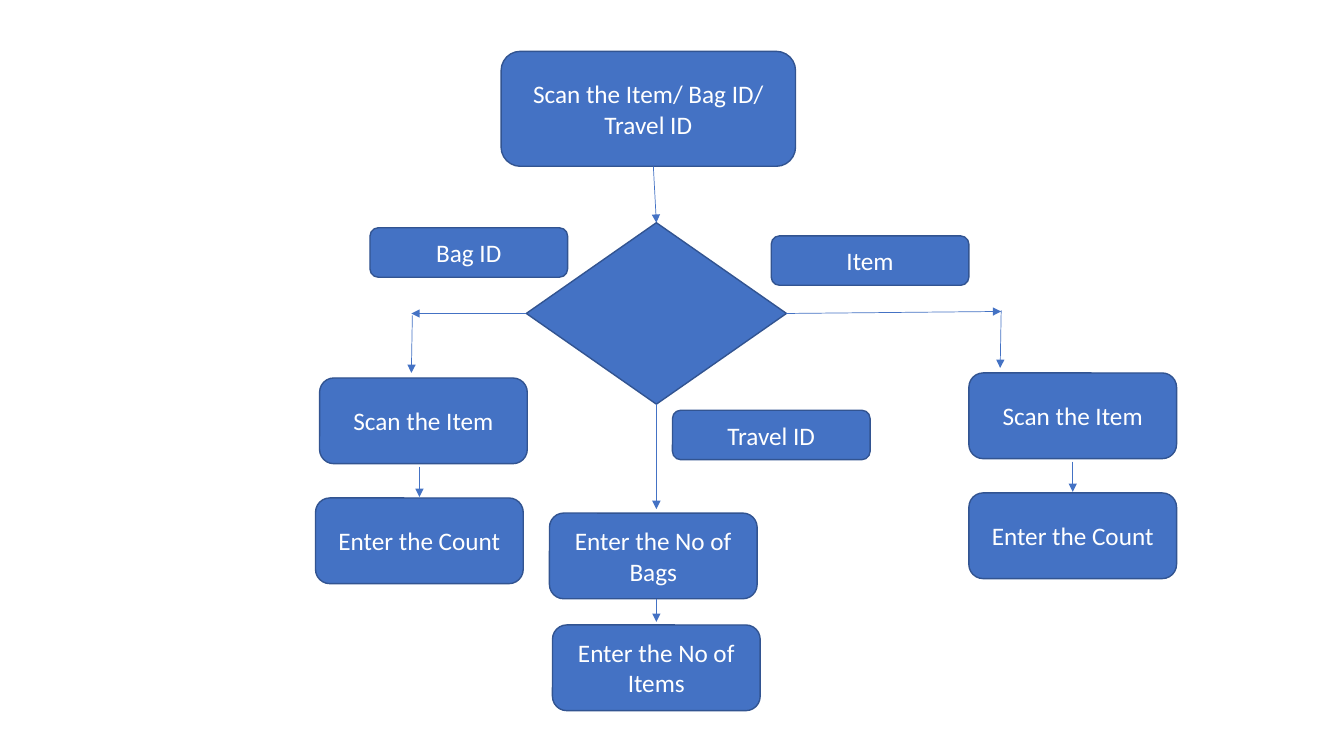
from lxml import etree
from pptx import Presentation
from pptx.dml import color
from pptx.enum import shapes, text
from pptx.oxml import ns
from pptx.util import Inches, Pt

COLORS = {"fill": "4472C4", "border": "325491", "arrow": "4472C4", "label": "FFFFFF"}
STEP_SIZE = (2.06, 0.85)
ANSWER_SIZE = (1.96, 0.49)
LABEL_FORMAT = {"size": Pt(18), "name": "Calibri", "color": COLORS["label"]}
FRAME_FORMAT = {"word_wrap": True, "vertical_anchor": text.MSO_ANCHOR.MIDDLE}


def rgb(name):
    """Return the named palette colour."""
    return color.RGBColor.from_string(COLORS[name])


def add_node(slide, left, top, size, label="", kind=shapes.MSO_SHAPE.ROUNDED_RECTANGLE):
    """Draw one flowchart node with a centred label."""
    node = slide.shapes.add_shape(kind, *map(Inches, (left, top, *size)))
    node.shadow.inherit = False
    node.fill.solid()
    node.fill.fore_color.rgb = rgb("fill")
    node.line.color.rgb = rgb("border")
    node.line.width = Pt(1)
    for attribute, value in FRAME_FORMAT.items():
        setattr(node.text_frame, attribute, value)
    if label:
        paragraph = node.text_frame.paragraphs[0]
        paragraph.alignment = text.PP_ALIGN.CENTER
        run = paragraph.add_run()
        run.text = label
        for attribute, value in LABEL_FORMAT.items():
            if attribute == "color":
                run.font.color.rgb = color.RGBColor.from_string(value)
            else:
                setattr(run.font, attribute, value)


def add_arrow(slide, start, end):
    """Draw a thin arrow from start to end."""
    arrow = slide.shapes.add_connector(
        shapes.MSO_CONNECTOR.STRAIGHT, *map(Inches, (*start, *end)))
    arrow.line.color.rgb = rgb("arrow")
    arrow.line.width = Pt(0.5)
    tail = etree.SubElement(arrow.line._get_or_add_ln(), ns.qn("a:tailEnd"))
    tail.set("type", "triangle")
    etree.SubElement(arrow._element.spPr, ns.qn("a:effectLst"))


def add_start(slide, left, top, width, height):
    """Draw the opening scan step and its arrow to the decision."""
    add_node(slide, left, top, (width, height), "Scan the Item/ Bag ID/ Travel ID")
    middle, bottom = left + width / 2 + 0.05, top + height
    add_arrow(slide, (middle, bottom), (middle + 0.03, bottom + 0.56))


def add_decision(slide, left, top, width, height):
    """Draw the decision, its three exits and their answers."""
    add_node(slide, left, top, (width, height), kind=shapes.MSO_SHAPE.FLOWCHART_DECISION)
    right, bottom = left + width, top + height
    center, middle = left + width / 2, top + height / 2
    add_arrow(slide, (right, middle), (right + 2.13, middle - 0.02))
    add_arrow(slide, (center, bottom), (center, bottom + 1.04))
    add_arrow(slide, (left, middle), (left - 1.14, middle))
    answers = {"Item": (2.43, 0.13), "Bag ID": (-1.55, 0.05), "Travel ID": (1.45, 1.86)}
    for answer, (across, down) in answers.items():
        add_node(slide, left + across, top + down, ANSWER_SIZE, answer)


def add_item_branch(slide, left, top, entry, count_shift=0):
    """Draw the scan and count steps below an entry arrow."""
    width, height = STEP_SIZE
    add_arrow(slide, (entry, top - 0.62), (entry - 0.01, top - 0.05))
    add_node(slide, left, top, STEP_SIZE, "Scan the Item")
    add_node(slide, left + count_shift, top + 1.19, STEP_SIZE, "Enter the Count")
    center = left + width / 2 + count_shift
    add_arrow(slide, (center, top + height + 0.03), (center, top + 1.18))


def add_travel_branch(slide, left, top):
    """Draw the bag and item number steps."""
    width, height = STEP_SIZE
    add_node(slide, left, top, STEP_SIZE, "Enter the No of Bags")
    add_node(slide, left + 0.03, top + 1.11, STEP_SIZE, "Enter the No of Items")
    center = left + width / 2 + 0.03
    add_arrow(slide, (center, top + height), (center, top + 1.08))


def main():
    """Build the scanning flowchart."""
    deck = Presentation()
    deck.slide_width, deck.slide_height = Inches(13.33), Inches(7.5)
    slide = deck.slides.add_slide(deck.slide_layouts[6])
    add_start(slide, 4.97, 0.51, 2.92, 1.14)
    add_decision(slide, 5.22, 2.21, 2.58, 1.8)
    add_item_branch(slide, 9.61, 3.7, entry=9.93)
    add_travel_branch(slide, 5.45, 5.09)
    add_item_branch(slide, 3.17, 3.75, entry=4.09, count_shift=-0.04)
    deck.save("out.pptx")


if __name__ == "__main__":
    main()
